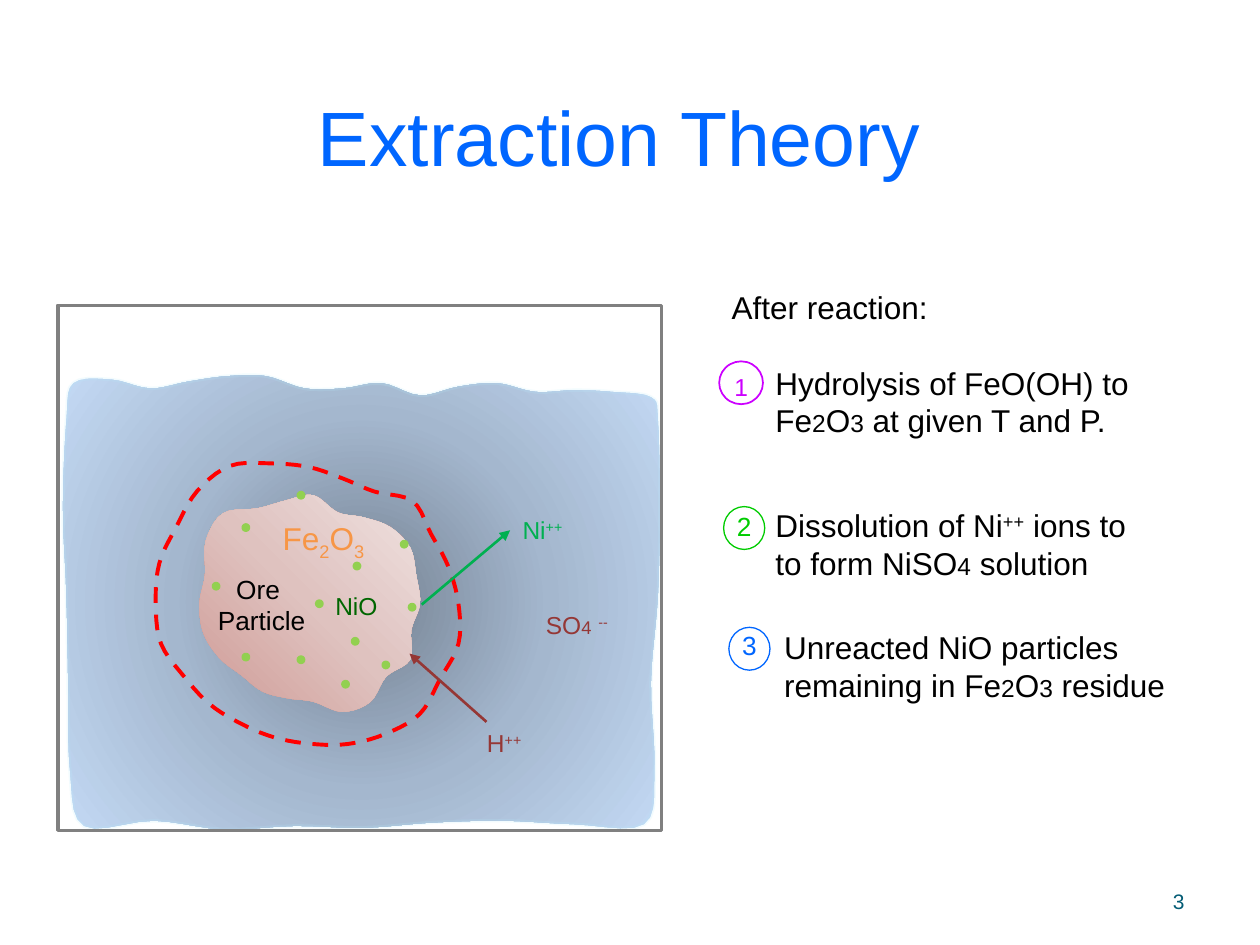
import math

import pptx
import pptx.util
import pptx.dml.color
import pptx.enum.dml
import pptx.enum.shapes
import pptx.enum.text
import pptx.oxml
import pptx.oxml.ns

Pt = pptx.util.Pt
SHAPE = pptx.enum.shapes.MSO_SHAPE
ALIGN = pptx.enum.text.PP_ALIGN
ANCHOR = pptx.enum.text.MSO_ANCHOR

COLORS = {
    "title": "0066FF", "page": "045C75", "black": "000000", "purple": "CC00FF",
    "green": "00CC00", "blue": "0066FF", "frame": "808080", "pond_edge": "B5EDFD",
    "pond_inner": "748191", "pond_middle": "A4B7CE", "pond_outer": "C3D9F4",
    "ore_dark": "CF9A95", "ore_middle": "DFC2BF", "ore_light": "EFE1E0",
    "acid": "953735", "nickel": "00B050", "front": "FF0000", "grain": "92D050",
    "oxide": "F79646", "nio": "006600",
}

SMALL = {"size": 14}
SUPER = {"base": 30}
SUB = {"base": -25}

REACTION = [
    {"lines": [["After reaction:"]], "indent": 0, "gap": 0},
    {"lines": [["Hydrolysis of FeO(OH) to"],
               ["Fe", ("2", SMALL), "O", ("3", SMALL), " at given T and P."]],
     "indent": 25, "gap": 22},
    {"lines": [["Dissolution of Ni", ("++", SUPER), " ions to"],
               ["to form NiSO", ("4", SMALL), " solution"]],
     "indent": 25, "gap": 38.5},
    {"lines": [["Unreacted NiO particles"],
               ["remaining in Fe", ("2", SMALL), "O", ("3", SMALL), " residue"]],
     "indent": 30, "gap": 26.5},
]

BADGES = [
    {"number": "1", "color": "purple", "ring": (411, 206.5, 25, 24.5),
     "width": 1, "corner": (412.5, 209), "size": 14},
    {"number": "2", "color": "green", "ring": (413.5, 289.5, 23.5, 24.5),
     "width": 0.75, "corner": (414, 288), "size": 15},
    {"number": "3", "color": "blue", "ring": (416.5, 358.5, 23.5, 24.5),
     "width": 0.75, "corner": (417, 356), "size": 15},
]

LABELS = [
    {"lines": [["Ore "], ["Particle"]], "box": (100, 324, 99, 44),
     "size": 15, "align": ALIGN.CENTER},
    {"lines": [["H", ("++ ", SUPER)]], "box": (263, 412.5, 52.5, 24.5),
     "color": "acid", "align": ALIGN.CENTER},
    {"lines": [["Ni", ("++", SUPER)]], "box": (291.5, 291, 49, 24.5), "color": "nickel"},
    {"lines": [["SO", ("4", {"size": 10.5}), " ", ("-- ", SUPER)]],
     "box": (302, 345, 57.5, 24.5), "color": "acid", "align": ALIGN.CENTER},
    {"lines": [["Fe", ("2", SUB), "O", ("3", SUB)]], "box": (154.5, 293, 64, 29),
     "size": 18, "color": "oxide"},
    {"lines": [["NiO"]], "box": (184.5, 334, 49, 24.5), "color": "nio"},
]

ARROWS = [
    {"start": (278, 412.5), "end": (234, 373.5), "color": "acid"},
    {"start": (241, 345.5), "end": (291.5, 303), "color": "nickel"},
]

GRAIN_SIZE = 3
GRAIN_CENTERS = [(235.5, 347), (140.5, 301.5), (197.5, 391), (220.5, 380),
                 (140.5, 375.5), (182.5, 345), (172, 283), (123.5, 335),
                 (172, 377), (204, 323.5), (203, 366.5), (231, 311)]

ORE = {"center": (179, 345),
       "radii": [61, 58, 64, 59, 65, 64, 56, 56, 58, 58, 62, 65,
                 65, 64, 71, 73, 63, 61, 62, 54, 57, 62, 64, 61]}
FRONT = {"center": (177, 345),
         "radii": [85, 88, 86, 89, 86, 83, 80, 79, 79, 81, 83, 88,
                   88, 89, 88, 91, 91, 83, 78, 74, 74, 83, 80, 82]}

POND_EDGES = {
    "top": {"start": 42, "step": 22, "level": 215,
            "waves": [4, 2, 7, 3, 0, 0, 7, 7, 4, 11, 6, 4, 9, 8, 9, 12]},
    "right": {"start": 240, "step": 50, "level": 372, "waves": [4, 5, 4, 0, 2]},
    "bottom": {"start": 368, "step": -40, "level": 469,
               "waves": [2, 2, 0, 1, 4, 3, 5, 0, 3]},
    "left": {"start": 440, "step": -50, "level": 36, "waves": [4, 3, 2, 0, 2]},
}

deck = pptx.Presentation()
deck.slide_width, deck.slide_height = Pt(720), Pt(540)
slide = deck.slides.add_slide(deck.slide_layouts[6])
shapes = slide.shapes


def rgb(name):
    return pptx.dml.color.RGBColor.from_string(COLORS[name])


def make_xml(body):
    tag, rest = body[:-2].split(" ", 1) if body.endswith("/>") else (body, "")
    return pptx.oxml.parse_xml(f'{tag} {pptx.oxml.ns.nsdecls("a")} {rest}/>')


def add_text(lines, box, size=14, color="black", align=ALIGN.LEFT, anchor=ANCHOR.TOP,
             indents=None, gaps=None, pitch=None):
    frame = shapes.add_textbox(*map(Pt, box)).text_frame
    frame.word_wrap = True
    frame.vertical_anchor = anchor
    for index, line in enumerate(lines):
        paragraph = frame.paragraphs[0] if index == 0 else frame.add_paragraph()
        paragraph.alignment = align
        if pitch:
            paragraph.line_spacing = Pt(pitch)
        if gaps:
            paragraph.space_before = Pt(gaps[index])
        if indents:
            paragraph._p.get_or_add_pPr().set("marL", str(Pt(indents[index])))
        for piece in line:
            words, style = (piece, {}) if isinstance(piece, str) else piece
            run = paragraph.add_run()
            run.text = words
            run.font.name = "Arial"
            run.font.size = Pt(style.get("size", size))
            run.font.color.rgb = rgb(color)
            if "base" in style:
                run.font._element.set("baseline", str(style["base"] * 1000))


def style_shape(shape, line, width, fill=None):
    shape.shadow.inherit = False
    if fill:
        shape.fill.solid()
        shape.fill.fore_color.rgb = rgb(fill)
    else:
        shape.fill.background()
    shape.line.color.rgb = rgb(line)
    shape.line.width = Pt(width)


def add_preset(kind, box, line, width, fill=None):
    style_shape(shapes.add_shape(kind, *map(Pt, box)), line, width, fill)


def ring_points(center, radii):
    turn = 2 * math.pi / len(radii)
    return [(center[0] + radius * math.cos(i * turn), center[1] + radius * math.sin(i * turn))
            for i, radius in enumerate(radii)]


def edge_points(side, start, step, level, waves):
    for i, wave in enumerate(waves):
        along, across = start + i * step, level + wave
        yield (along, across) if side in ("top", "bottom") else (across, along)


def spline(before, start, end, after, t):
    return 0.5 * (2 * start + (end - before) * t
                  + (2 * before - 5 * start + 4 * end - after) * t ** 2
                  + (3 * start - before - 3 * end + after) * t ** 3)


def smooth(points, steps=5):
    count = len(points)
    for i in range(count):
        neighbours = [points[(i + k) % count] for k in (-1, 0, 1, 2)]
        for step in range(steps):
            yield tuple(Pt(spline(*axis, step / steps)) for axis in zip(*neighbours))


def add_outline(points, line, width):
    start, *rest = smooth(points)
    builder = shapes.build_freeform(*start, scale=1.0)
    builder.add_line_segments(rest, close=True)
    shape = builder.convert_to_shape()
    style_shape(shape, line, width)
    return shape


def set_gradient(shape, stops, direction):
    listed = "".join(f'<a:gs pos="{i * 50000}"><a:srgbClr val="{COLORS[stop]}"/></a:gs>'
                     for i, stop in enumerate(stops))
    gradient = pptx.oxml.parse_xml(
        f'<a:gradFill {pptx.oxml.ns.nsdecls("a")} rotWithShape="1">'
        f'<a:gsLst>{listed}</a:gsLst>{direction}</a:gradFill>')
    properties = shape._element.spPr
    properties.replace(properties.find(pptx.oxml.ns.qn("a:noFill")), gradient)


def add_arrow(start, end, color):
    arrow = shapes.add_connector(pptx.enum.shapes.MSO_CONNECTOR.STRAIGHT,
                                 *map(Pt, start + end))
    arrow.line.color.rgb = rgb(color)
    arrow.line.width = Pt(1.5)
    arrow.line._get_or_add_ln().append(make_xml('<a:tailEnd type="triangle"/>'))
    arrow._element.spPr.append(make_xml("<a:effectLst />"))


add_text([["Extraction Theory "]], (36, 43, 648, 68.5), size=44, color="title",
         align=ALIGN.CENTER, anchor=ANCHOR.MIDDLE)
add_text([["3"]], (516, 500.5, 168, 29), size=12, color="page",
         align=ALIGN.RIGHT, anchor=ANCHOR.MIDDLE)

rows = [(line, step["indent"], 0 if index else step["gap"])
        for step in REACTION for index, line in enumerate(step["lines"])]
lines, indents, gaps = zip(*rows)
add_text(lines, (411, 161, 289.5, 323), size=18, indents=indents, gaps=gaps, pitch=21.5)

for badge in BADGES:
    add_preset(SHAPE.OVAL, badge["ring"], badge["color"], badge["width"])
    add_text([[badge["number"]]], badge["corner"] + (27, 28),
             size=badge["size"], color=badge["color"])

pond_points = [point for side, edge in POND_EDGES.items() for point in edge_points(side, **edge)]
pond = add_outline(pond_points, "pond_edge", 2)
pond.line.color._xFill.find(pptx.oxml.ns.qn("a:srgbClr")).append(
    make_xml('<a:alpha val="17000"/>'))
set_gradient(pond, ["pond_inner", "pond_middle", "pond_outer"], '<a:path path="circle">'
             '<a:fillToRect l="50000" t="50000" r="50000" b="50000"/></a:path>')
add_preset(SHAPE.RECTANGLE, (33, 174.5, 345, 300), "frame", 2)

ore = add_outline(ring_points(**ORE), "ore_dark", 1)
set_gradient(ore, ["ore_dark", "ore_middle", "ore_light"], '<a:lin ang="18900000" scaled="0"/>')
ore.line.fill.background()
front = add_outline(ring_points(**FRONT), "front", 2.25)
front.line.dash_style = pptx.enum.dml.MSO_LINE.DASH

for arrow in ARROWS:
    add_arrow(**arrow)
for x, y in GRAIN_CENTERS:
    add_preset(SHAPE.OVAL, (x - GRAIN_SIZE / 2, y - GRAIN_SIZE / 2, GRAIN_SIZE, GRAIN_SIZE),
               "grain", 2, "grain")
for label in LABELS:
    add_text(**label)

deck.save("out.pptx")
